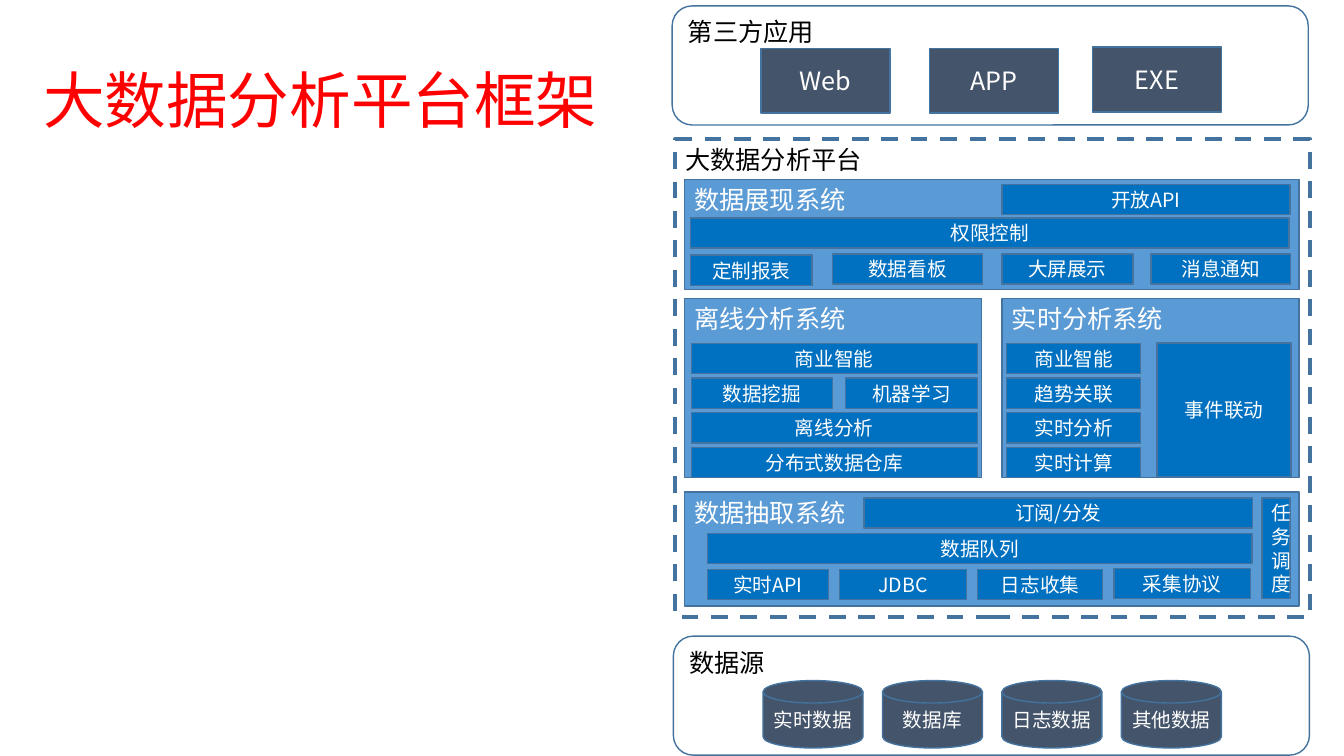
from dataclasses import dataclass
from typing import Optional

from lxml.etree import SubElement
from pptx import Presentation
from pptx.dml.color import RGBColor
from pptx.enum.dml import MSO_LINE
from pptx.enum.shapes import MSO_SHAPE
from pptx.enum.text import MSO_ANCHOR, MSO_AUTO_SIZE, PP_ALIGN
from pptx.oxml.ns import qn
from pptx.util import Cm, Pt

FONT = "Noto Sans CJK SC"
WHITE = RGBColor(0xFF, 0xFF, 0xFF)
BLACK = RGBColor(0x00, 0x00, 0x00)
RED = RGBColor(0xFF, 0x00, 0x00)
SLATE = RGBColor(0x44, 0x54, 0x6A)
PANEL_BLUE = RGBColor(0x5B, 0x9B, 0xD5)
MODULE_BLUE = RGBColor(0x00, 0x70, 0xC0)
OUTLINE = RGBColor(0x43, 0x73, 0x9E)


@dataclass(frozen=True)
class Style:
    """Look shared by all blocks of one kind."""
    preset: MSO_SHAPE
    fill: Optional[RGBColor]
    text_color: RGBColor
    size: int
    centered: bool
    line_width: float = 1
    dashed: bool = False


@dataclass(frozen=True)
class Block:
    """A labelled block; lengths in centimetres."""
    label: str
    left: float
    top: float
    width: float
    height: float = 0.76


ZONE = Style(MSO_SHAPE.ROUNDED_RECTANGLE, None, BLACK, 18, False)
PLATFORM = Style(MSO_SHAPE.RECTANGLE, None, BLACK, 18, False, 3, True)
SYSTEM = Style(MSO_SHAPE.RECTANGLE, PANEL_BLUE, WHITE, 18, False)
MODULE = Style(MSO_SHAPE.RECTANGLE, MODULE_BLUE, WHITE, 14, True)
APP = Style(MSO_SHAPE.RECTANGLE, SLATE, WHITE, 18, True)
STORE = Style(MSO_SHAPE.FLOWCHART_MAGNETIC_DISK, SLATE, WHITE, 14, True)

ANALYSIS_TOP, ANALYSIS_PITCH = 8.66, 0.87
ANALYSIS_ROWS = [round(ANALYSIS_TOP + ANALYSIS_PITCH * row, 2) for row in range(4)]
OFFLINE_LEFT, REALTIME_LEFT = 17.42, 25.37
OFFLINE_WIDTH, REALTIME_WIDTH = 7.21, 3.38

ZONES = [
    Block("第三方应用", 16.94, 0.15, 16.03, 3),
    Block("数据源", 16.97, 16.03, 16.03, 3),
]
SYSTEMS = [
    Block("数据抽取系统", 17.25, 12.4, 15.49, 2.87),
    Block("实时分析系统", 25.25, 7.52, 7.49, 4.52),
    Block("离线分析系统", 17.25, 7.52, 7.49, 4.52),
    Block("数据展现系统", 17.25, 4.52, 15.49, 2.77),
]
PLATFORMS = [Block("大数据分析平台", 17.02, 3.51, 16, 12.04)]
APPS = [
    Block("Web", 19.18, 1.22, 3.25, 1.63),
    Block("APP", 23.42, 1.22, 3.25, 1.63),
    Block("EXE", 27.53, 1.19, 3.25, 1.63),
]
STORES = [
    Block(label, 19.23 + 3.01 * column, 17.15, 2.52, 1.7)
    for column, label in enumerate(["实时数据", "数据库", "日志数据", "其他数据"])
]
DISPLAY_MODULES = [
    Block("开放API", 25.25, 4.65, 7.26),
    Block("权限控制", 17.4, 5.49, 15.09),
    Block("定制报表", 17.4, 6.43, 3.07),
    Block("数据看板", 20.98, 6.4, 3.78),
    Block("大屏展示", 25.25, 6.4, 3.3),
    Block("消息通知", 29.01, 6.4, 3.51),
]
OFFLINE_MODULES = [
    Block("商业智能", OFFLINE_LEFT, ANALYSIS_ROWS[0], OFFLINE_WIDTH),
    Block("数据挖掘", OFFLINE_LEFT, ANALYSIS_ROWS[1], 3.56),
    Block("机器学习", 21.31, ANALYSIS_ROWS[1], 3.33),
    Block("离线分析", OFFLINE_LEFT, ANALYSIS_ROWS[2], OFFLINE_WIDTH),
    Block("分布式数据仓库", OFFLINE_LEFT, ANALYSIS_ROWS[3], OFFLINE_WIDTH),
]
REALTIME_MODULES = [
    Block(label, REALTIME_LEFT, top, REALTIME_WIDTH)
    for label, top in zip(["商业智能", "趋势关联", "实时分析", "实时计算"], ANALYSIS_ROWS)
] + [Block("事件联动", 29.16, 8.64, REALTIME_WIDTH, 3.38)]
EXTRACTION_MODULES = [
    Block("订阅/分发", 21.77, 12.55, 9.8),
    Block("数据队列", 17.83, 13.44, 13.72),
    Block("实时API", 17.83, 14.35, 3.05),
    Block("JDBC", 21.16, 14.35, 3.2),
    Block("日志收集", 24.64, 14.35, 3.15),
    Block("采集协议", 28.07, 14.33, 3.45),
    Block("任务调度", 31.8, 12.55, 0.71, 2.54),
]


def write_label(frame, label: str, size: int, color: RGBColor, align: PP_ALIGN):
    """Fill a text frame with one styled paragraph and return it."""
    frame.word_wrap = True
    paragraph = frame.paragraphs[0]
    paragraph.text = label
    paragraph.alignment = align
    paragraph.font.size = Pt(size)
    paragraph.font.color.rgb = color
    paragraph.font.name = FONT
    defaults = paragraph._p.pPr.find(qn("a:defRPr"))
    SubElement(defaults, qn("a:ea")).set("typeface", FONT)
    return paragraph


def draw_blocks(slide, blocks: list[Block], style: Style) -> None:
    """Draw every block of a group in the same style."""
    for block in blocks:
        shape = slide.shapes.add_shape(
            style.preset, Cm(block.left), Cm(block.top), Cm(block.width), Cm(block.height))
        shape.shadow.inherit = False
        if style.fill is None:
            shape.fill.background()
        else:
            shape.fill.solid()
            shape.fill.fore_color.rgb = style.fill
        shape.line.color.rgb = OUTLINE
        shape.line.width = Pt(style.line_width)
        if style.dashed:
            shape.line.dash_style = MSO_LINE.DASH
        frame = shape.text_frame
        frame.vertical_anchor = MSO_ANCHOR.MIDDLE if style.centered else MSO_ANCHOR.TOP
        align = PP_ALIGN.CENTER if style.centered else PP_ALIGN.LEFT
        write_label(frame, block.label, style.size, style.text_color, align)


def draw_title(slide, title: str) -> None:
    """Write the slide title at the upper left."""
    frame = slide.shapes.add_textbox(Cm(0.84), Cm(1.65), Cm(15.6), Cm(1.96)).text_frame
    frame.auto_size = MSO_AUTO_SIZE.SHAPE_TO_FIT_TEXT
    heading = write_label(frame, title, 44, RED, PP_ALIGN.LEFT)
    heading.line_spacing = 0.9


presentation = Presentation()
presentation.slide_width, presentation.slide_height = Cm(33.87), Cm(19.05)
framework = presentation.slides.add_slide(presentation.slide_layouts[6])

draw_blocks(framework, ZONES, ZONE)
draw_blocks(framework, STORES, STORE)
draw_blocks(framework, SYSTEMS, SYSTEM)
draw_blocks(framework, PLATFORMS, PLATFORM)
draw_blocks(framework, APPS, APP)
for modules in (EXTRACTION_MODULES, OFFLINE_MODULES, DISPLAY_MODULES, REALTIME_MODULES):
    draw_blocks(framework, modules, MODULE)
draw_title(framework, "大数据分析平台框架")

presentation.save("out.pptx")
